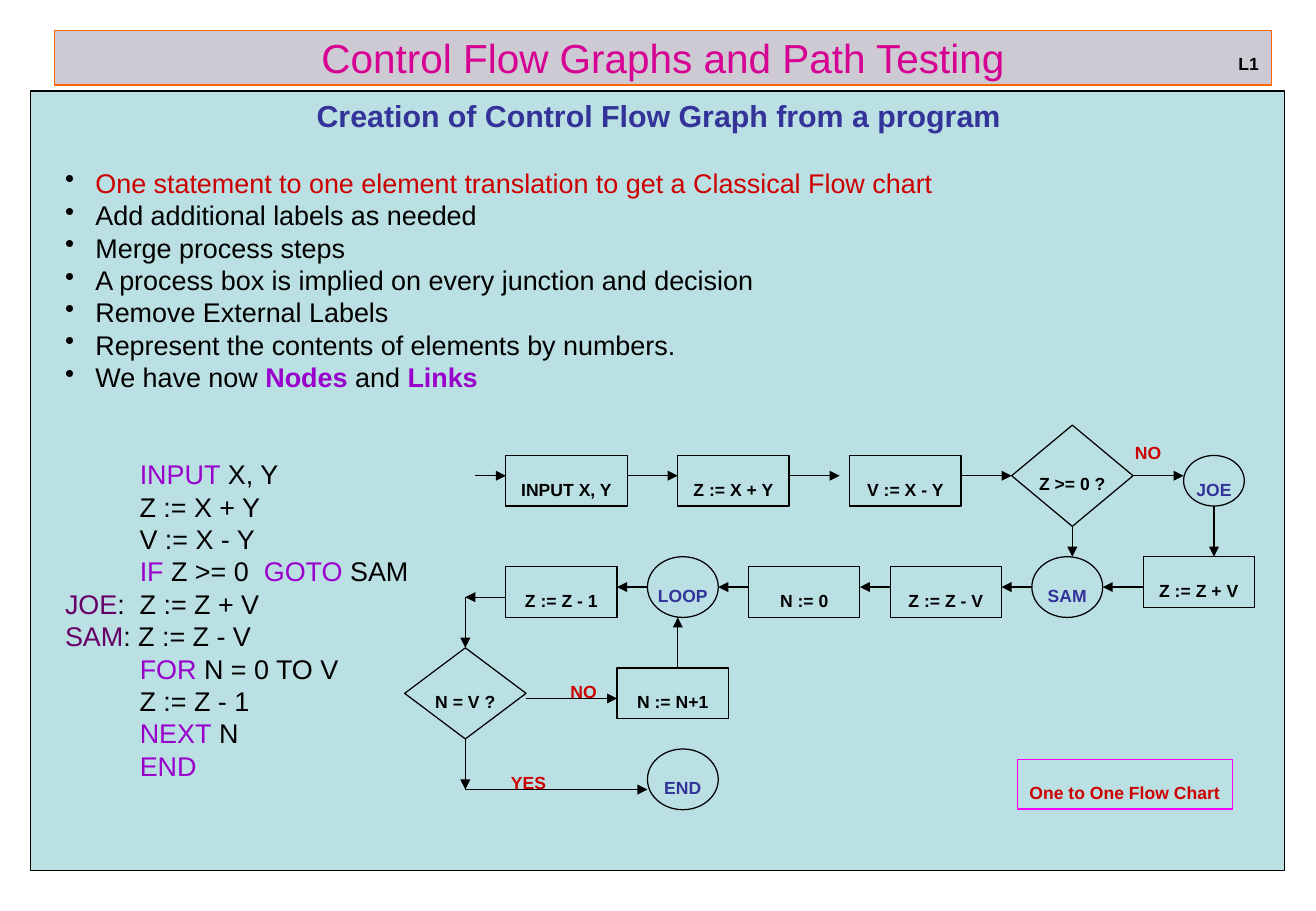
import pptx
import pptx.dml.color
import pptx.enum.shapes
import pptx.enum.text
import pptx.oxml.ns
import pptx.util
from lxml import etree

COLOURS = {
    "black": "000000", "panel": "BBE0E3", "title_fill": "CECAD4",
    "title_line": "FF6600", "title": "D60093", "navy": "333399",
    "red": "CC0000", "violet": "9900CC", "plum": "660066", "magenta": "FF00FF",
}
Pt = pptx.util.Pt
SHAPES = pptx.enum.shapes.MSO_SHAPE
ALIGN = pptx.enum.text.PP_ALIGN
ANCHOR = pptx.enum.text.MSO_ANCHOR

BULLETS = [
    [("One statement to one element translation to get a Classical Flow chart", "red")],
    [("Add additional labels as needed", None)],
    [("Merge process steps", None)],
    [("A process box is implied on every junction and decision", None)],
    [("Remove External Labels", None)],
    [("Represent the contents of elements by numbers.", None)],
    [("We have now ", None), ("Nodes", "violet"), (" and ", None), ("Links", "violet")],
]
CODE = [
    [("          ", None), ("INPUT", "violet"), (" X, Y", None)],
    [("          Z := X + Y", None)],
    [("          V := X - Y", None)],
    [("          ", None), ("IF", "violet"), (" Z >= 0  ", None), ("GOTO", "violet"), (" SAM", None)],
    [("JOE", "plum"), (":  Z := Z + V", None)],
    [("SAM", "plum"), (": Z := Z - V", None)],
    [("          ", None), ("FOR", "violet"), (" N = 0 TO V", None)],
    [("          Z := Z - 1", None)],
    [("          ", None), ("NEXT", "violet"), (" N", None)],
    [("          ", None), ("END", "violet")],
]
PROCESSES = [
    ("INPUT X, Y", 300, 270, 72), ("Z := X + Y", 402, 270, 66),
    ("V := X - Y", 504, 270, 66), ("Z := Z + V", 678, 330, 66),
    ("Z := Z - V", 528, 336, 66), ("N := 0", 444, 336, 66),
    ("Z := Z - 1", 300, 336, 66), ("N := N+1", 366, 396, 66),
]
DECISIONS = [("Z >= 0 ?", 600, 252, 60), ("N = V ?", 240, 384, 54)]
JUNCTIONS = [
    ("JOE", 702, 270, 36, 30), ("SAM", 612, 330, 42, 36),
    ("LOOP", 384, 330, 42, 36), ("END", 384, 444, 42, 36),
]
ARROWS = [
    (282, 282, 300, 282), (372, 282, 402, 282), (468, 282, 498, 282),
    (570, 282, 600, 282), (672, 282, 702, 282), (636, 312, 636, 330),
    (720, 300, 720, 330), (678, 348, 654, 348), (612, 348, 594, 348),
    (528, 348, 510, 348), (444, 348, 426, 348), (384, 348, 366, 348),
    (300, 354, 276, 354), (276, 354, 276, 384), (312, 414, 366, 414),
    (402, 396, 402, 366), (276, 438, 276, 468), (276, 468, 384, 468),
]
BRANCHES = [("NO", 666, 248.6, 31), ("NO", 331.2, 390.4, 31), ("YES", 295.9, 444.4, 36)]


class FlowSlide:
    def __init__(self, slide, font="Arial", line_width=0.75):
        self.slide = slide
        self.font = font
        self.line_width = line_width

    def colour(self, name):
        return pptx.dml.color.RGBColor.from_string(COLOURS[name])

    def box(self, kind, left, top, width, height, fill="panel", line="black"):
        shape = self.slide.shapes.add_shape(kind, Pt(left), Pt(top), Pt(width), Pt(height))
        shape.shadow.inherit = False
        if fill:
            shape.fill.solid()
            shape.fill.fore_color.rgb = self.colour(fill)
        else:
            shape.fill.background()
        shape.line.color.rgb = self.colour(line)
        shape.line.width = Pt(self.line_width)
        return shape

    def style(self, paragraph, size, colour, bold=False):
        paragraph.font.name = self.font
        paragraph.font.size = Pt(size)
        paragraph.font.bold = bold
        paragraph.font.color.rgb = self.colour(colour)

    def lowered(self, shape, text, colour, align=ALIGN.LEFT, anchor=ANCHOR.TOP):
        frame = shape.text_frame
        frame.word_wrap = False
        frame.vertical_anchor = anchor
        paragraph = frame.paragraphs[0]
        paragraph.alignment = align
        run = paragraph.add_run()
        run.text = text
        run._r.get_or_add_rPr().set("baseline", "-12000")
        self.style(paragraph, 18, colour, True)

    def node(self, kind, text, left, top, width, height, colour="black"):
        shape = self.box(kind, left, top, width, height)
        self.lowered(shape, text, colour, ALIGN.CENTER, ANCHOR.MIDDLE)

    def label(self, text, left, top, width, colour):
        shape = self.slide.shapes.add_textbox(Pt(left), Pt(top), Pt(width), Pt(29.5))
        self.lowered(shape, text, colour)

    def arrow(self, start_x, start_y, end_x, end_y):
        connector = self.slide.shapes.add_connector(
            pptx.enum.shapes.MSO_CONNECTOR.STRAIGHT,
            Pt(start_x), Pt(start_y), Pt(end_x), Pt(end_y))
        connector.line.color.rgb = self.colour("black")
        connector.line.width = Pt(self.line_width)
        properties = connector._element.spPr
        line = properties.find(pptx.oxml.ns.qn("a:ln"))
        etree.SubElement(line, pptx.oxml.ns.qn("a:tailEnd"), type="triangle")
        etree.SubElement(properties, pptx.oxml.ns.qn("a:effectLst"))

    def title(self, text):
        shape = self.box(SHAPES.RECTANGLE, 32.4, 18, 721.6, 32.4, "title_fill", "title_line")
        shape.text_frame.vertical_anchor = ANCHOR.MIDDLE
        paragraph = shape.text_frame.paragraphs[0]
        paragraph.text = text
        paragraph.alignment = ALIGN.CENTER
        self.style(paragraph, 24, "title")

    def body_line(self, frame, runs, bullet, space_before):
        paragraph = frame.add_paragraph()
        properties = paragraph._p.get_or_add_pPr()
        properties.set("marL", str(Pt(31.5)))
        properties.set("indent", str(Pt(-18)))
        if bullet:
            bullet_colour = etree.SubElement(properties, pptx.oxml.ns.qn("a:buClr"))
            etree.SubElement(bullet_colour, pptx.oxml.ns.qn("a:srgbClr"), val=COLOURS["black"])
            etree.SubElement(properties, pptx.oxml.ns.qn("a:buChar"), char="•")
        paragraph.line_spacing = Pt(19.2)
        paragraph.space_before = Pt(space_before)
        self.style(paragraph, 16, "black")
        for text, colour in runs:
            run = paragraph.add_run()
            run.text = text
            if colour:
                run.font.color.rgb = self.colour(colour)
            if text in ("Nodes", "Links"):
                run.font.bold = True

    def body(self, heading):
        shape = self.slide.shapes.add_textbox(Pt(18), Pt(54), Pt(732), Pt(412.5))
        frame = shape.text_frame
        frame.word_wrap = True
        paragraph = frame.paragraphs[0]
        paragraph.text = heading
        paragraph.alignment = ALIGN.CENTER
        paragraph.line_spacing = Pt(21.6)
        properties = paragraph._p.get_or_add_pPr()
        properties.set("marL", str(Pt(27)))
        properties.set("indent", str(Pt(-13.5)))
        self.style(paragraph, 18, "navy", True)
        for lines, bullet, gap in ((BULLETS, True, 19.5), (CODE, False, 38.4)):
            for index, runs in enumerate(lines):
                self.body_line(frame, runs, bullet, 0 if index else gap)


def main():
    presentation = pptx.Presentation()
    presentation.slide_width = Pt(780.48)
    presentation.slide_height = Pt(540)
    flow = FlowSlide(presentation.slides.add_slide(presentation.slide_layouts[6]))
    flow.title("Control Flow Graphs and Path Testing")
    flow.box(SHAPES.RECTANGLE, 18, 54, 744, 462)
    flow.label("L1", 727.4, 18, 27, "black")
    flow.body("Creation of Control Flow Graph from a program")
    for text, left, top, width in PROCESSES:
        flow.node(SHAPES.RECTANGLE, text, left, top, width, 30)
    for text, left, top, height in DECISIONS:
        flow.node(SHAPES.DIAMOND, text, left, top, 72, height)
    for text, left, top, width, height in JUNCTIONS:
        flow.node(SHAPES.OVAL, text, left, top, width, height, "navy")
    for points in ARROWS:
        flow.arrow(*points)
    for text, left, top, width in BRANCHES:
        flow.label(text, left, top, width, "red")
    caption = flow.box(SHAPES.RECTANGLE, 603.4, 450, 127.6, 29.5, None, "magenta")
    flow.lowered(caption, "One to One Flow Chart", "red")
    presentation.save("out.pptx")


if __name__ == "__main__":
    main()
